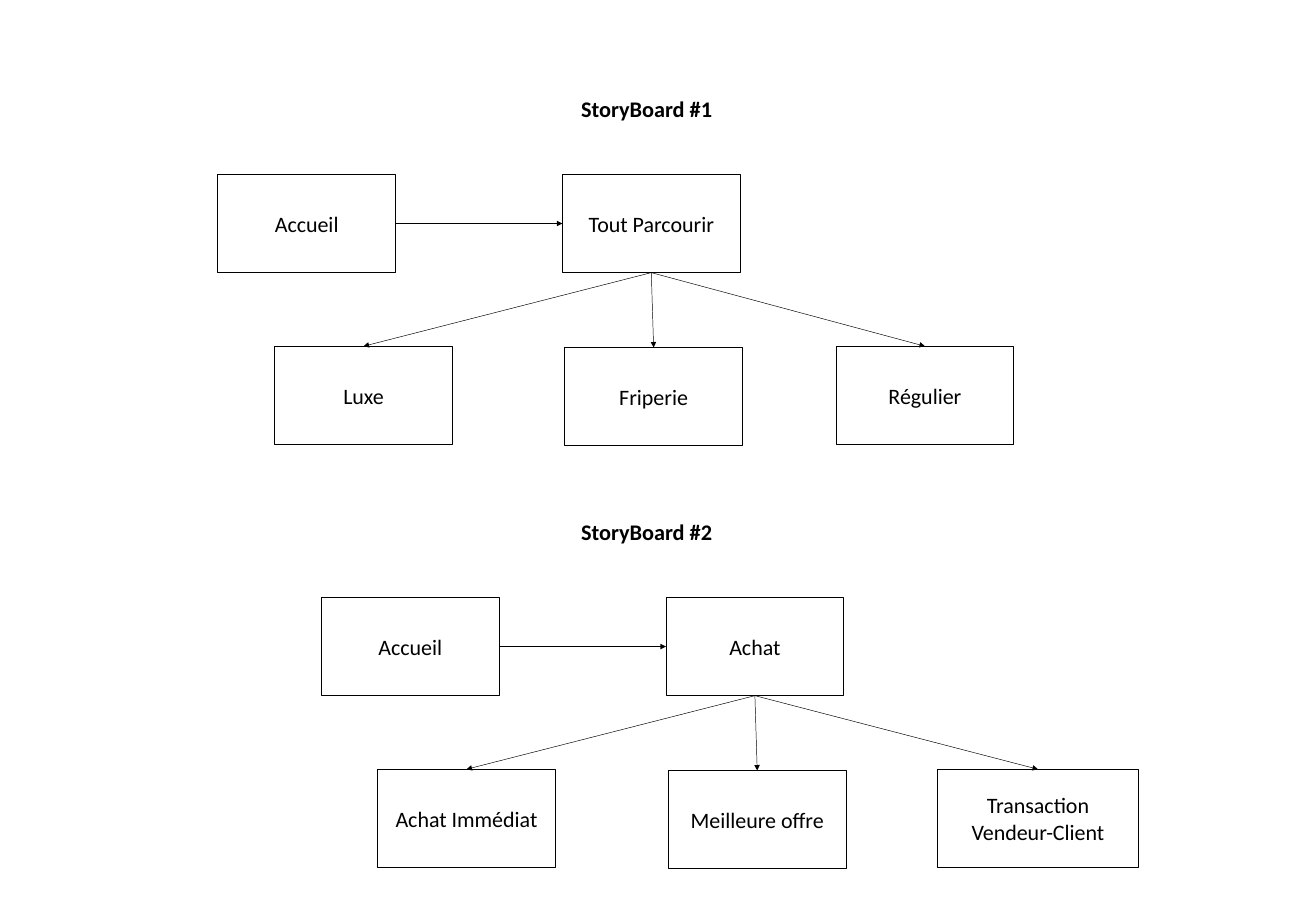
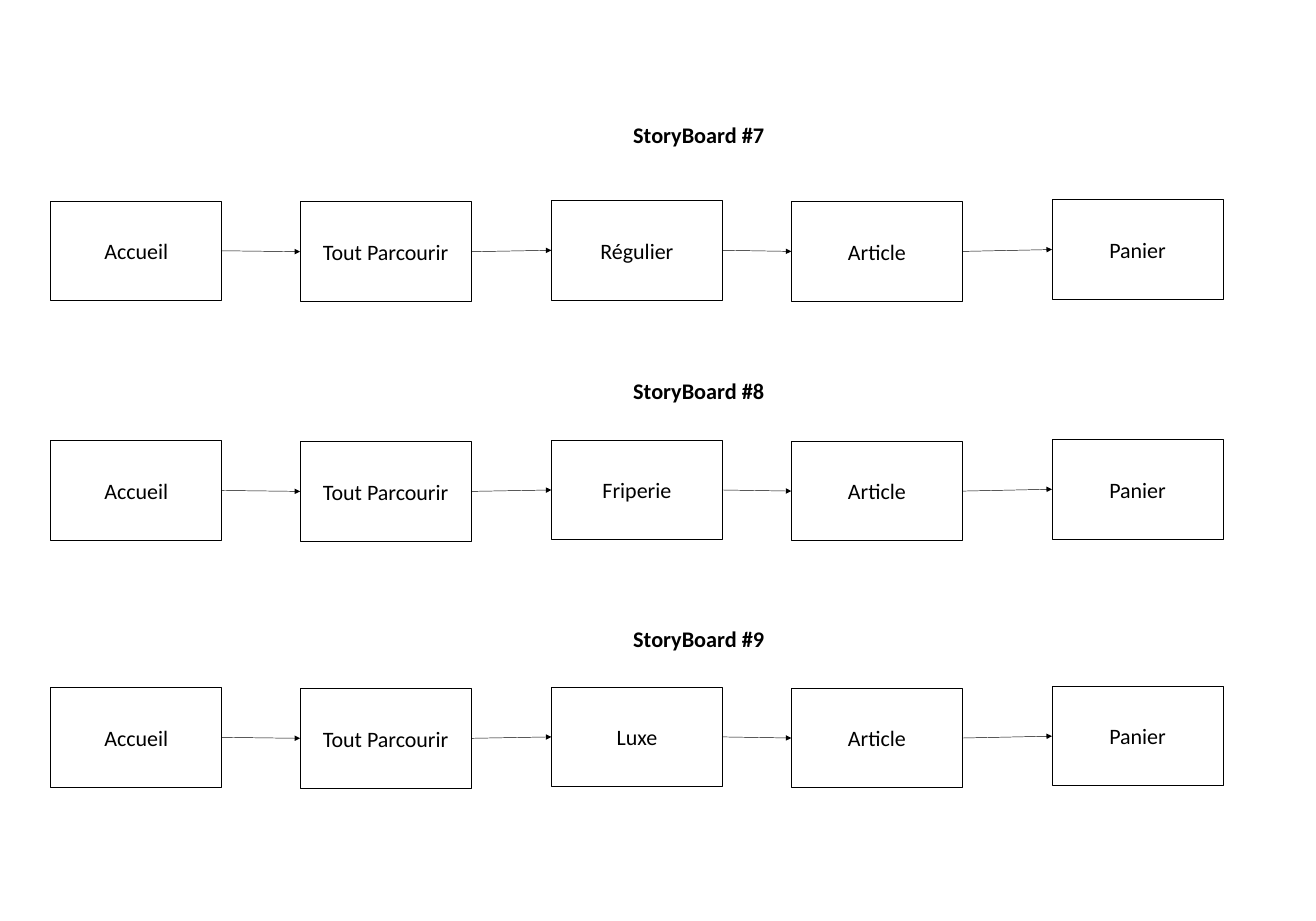
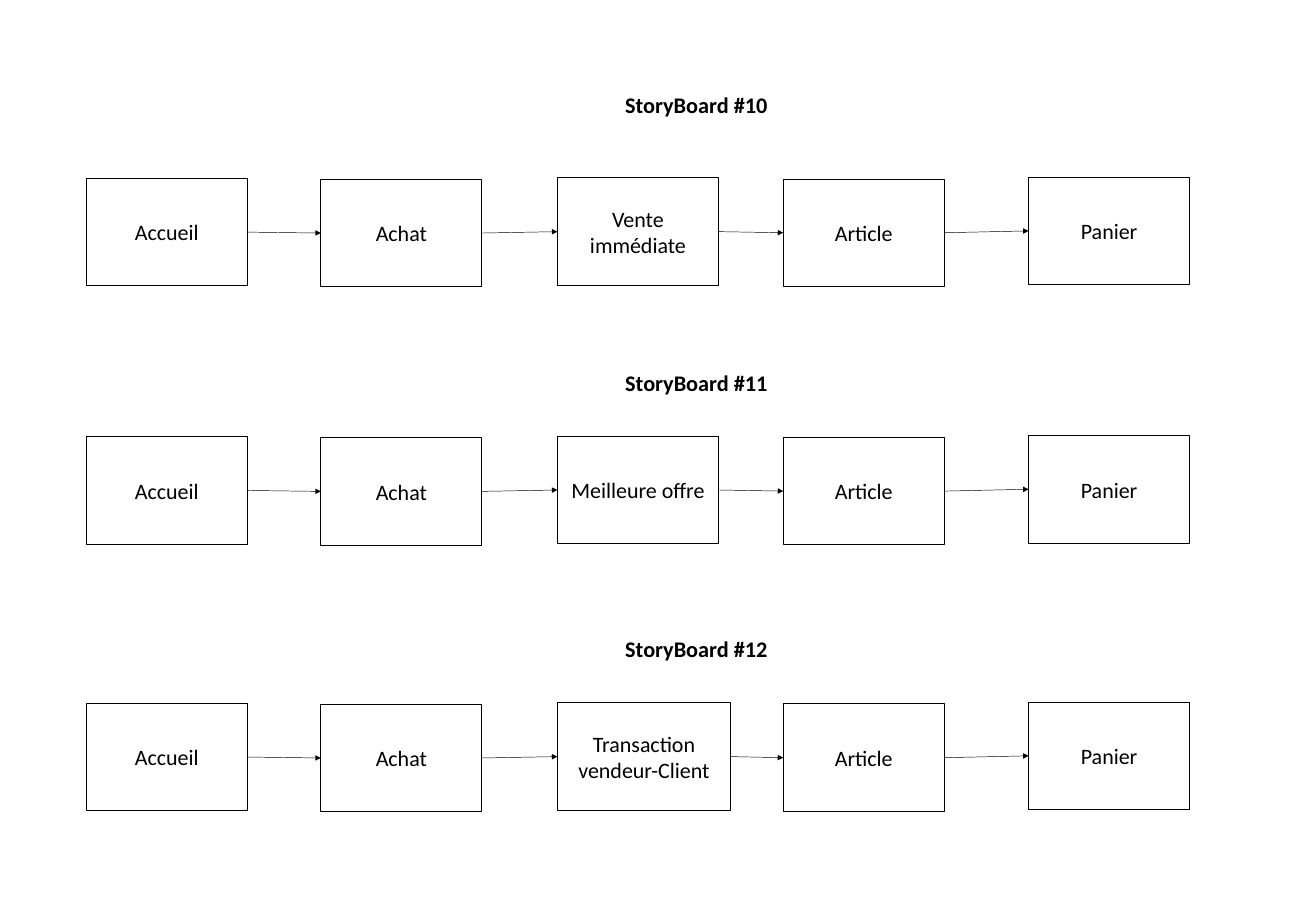
from dataclasses import dataclass

from lxml import etree
from pptx import Presentation
from pptx.dml.color import RGBColor
from pptx.enum.shapes import MSO_CONNECTOR, MSO_SHAPE
from pptx.enum.text import MSO_ANCHOR, MSO_AUTO_SIZE, PP_ALIGN
from pptx.oxml.ns import qn
from pptx.util import Pt

RECT = MSO_SHAPE.RECTANGLE
LINE = MSO_CONNECTOR.STRAIGHT
CENTER = PP_ALIGN.CENTER
TOP_TEXT = MSO_ANCHOR.TOP
MID_TEXT = MSO_ANCHOR.MIDDLE
GROW = MSO_AUTO_SIZE.SHAPE_TO_FIT_TEXT
TOP, LEFT, BASE, RIGHT = range(4)


@dataclass
class Theme:
    ink: RGBColor = RGBColor(0, 0, 0)
    paper: RGBColor = RGBColor(255, 255, 255)
    font: str = "Calibri"
    head: float = 24
    label: float = 23.7
    edge: float = 1
    arrow: float = 0.5


theme = Theme()


def write(shape, text, size, anchor, bold=False):
    frame = shape.text_frame
    frame.word_wrap = True
    frame.vertical_anchor = anchor
    frame.text = text
    para = frame.paragraphs[0]
    para.alignment = CENTER
    font = para.runs[0].font
    font.name, font.size, font.bold = theme.font, Pt(size), bold
    font.color.rgb = theme.ink


def link(slide, start, out, end, into):
    line = slide.shapes.add_connector(LINE, 0, 0, 0, 0)
    line.begin_connect(start, out)
    line.end_connect(end, into)
    line.line.color.rgb = theme.ink
    line.line.width = Pt(theme.arrow)
    etree.SubElement(line.line._get_or_add_ln(), qn("a:tailEnd"), type="triangle")
    etree.SubElement(line._element.spPr, qn("a:effectLst"))


trees = [
    (1, 99.4, 234.7, "Tout Parcourir",
     [("Luxe", 295.9, 191.5), ("Friperie", 608.4, 191.5), ("Régulier", 900.7, 191.5)]),
    (2, 555.1, 346.3, "Achat",
     [("Achat Immédiat", 406.8, 191.5), ("Meilleure offre", 720, 191.5),
      ("Transaction Vendeur-Client", 1010.2, 216)]),
]
tree_links = [(0, RIGHT, 1, LEFT)] + [(1, BASE, leaf, TOP) for leaf in (2, 3, 4)]
pages = [[]]
for number, top, left, root, leaves in trees:
    boxes = [("Accueil", left, top + 88.5, 191.5, 105.8),
             (root, left + 371.2, top + 88.5, 191.5, 105.8)]
    for (name, x, width), drop in zip(leaves, (0, 1.4, 0)):
        boxes.append((name, x, top + 273.6 + drop, width, 105.8))
    pages[0].append((number, 381.6, top, 630, boxes, tree_links))

chains = [
    ("Tout Parcourir", 450, 605.5, (54.7, 323.3, 594, 852.5, 1133.3), 184.3, 107.3,
     [(7, 126.7, 216.5, "Régulier", 184.3), (8, 403.2, 474.7, "Friperie", 184.3),
      (9, 669.6, 740.7, "Luxe", 184.3)]),
    ("Achat", 465.1, 570.2, (92.9, 345.6, 600.5, 843.8, 1108.1), 173.5, 115.9,
     [(10, 95, 192.1, "Vente immédiate", 173.5), (11, 393.8, 470.4, "Meilleure offre", 173.5),
      (12, 680.4, 757.6, "Transaction vendeur-Client", 186.5)]),
]
drops = (0, 1, -0.5, 0.7, -1.3)
chain_links = [(step, RIGHT, step + 1, LEFT) for step in range(4)]
for second, left, span, columns, width, height, rows in chains:
    page = []
    for number, top, row, middle, wide in rows:
        names = ("Accueil", second, middle, "Article", "Panier")
        widths = (width, width, wide, width, width)
        boxes = [(name, x, row + drop, w, height)
                 for name, x, drop, w in zip(names, columns, drops, widths)]
        page.append((number, left, top, span, boxes, chain_links))
    pages.append(page)

deck = Presentation()
deck.slide_width, deck.slide_height = Pt(1417.68), Pt(992.16)
for page in pages:
    slide = deck.slides.add_slide(deck.slide_layouts[5])
    for order, (number, left, top, span, boxes, links) in enumerate(page):
        head = slide.shapes.add_textbox(0, 0, 0, 0) if order else slide.shapes.title
        head.left, head.top, head.width, head.height = Pt(left), Pt(top), Pt(span), Pt(36)
        write(head, f"StoryBoard #{number}", theme.head, TOP_TEXT, True)
        head.text_frame.auto_size = GROW

        cards = []
        for name, x, y, width, height in boxes:
            card = slide.shapes.add_shape(RECT, Pt(x), Pt(y), Pt(width), Pt(height))
            card.shadow.inherit = False
            card.fill.solid()
            card.fill.fore_color.rgb = theme.paper
            card.line.color.rgb = theme.ink
            card.line.width = Pt(theme.edge)
            write(card, name, theme.label, MID_TEXT)
            cards.append(card)
        for start, out, end, into in links:
            link(slide, cards[start], out, cards[end], into)

deck.save("out.pptx")
